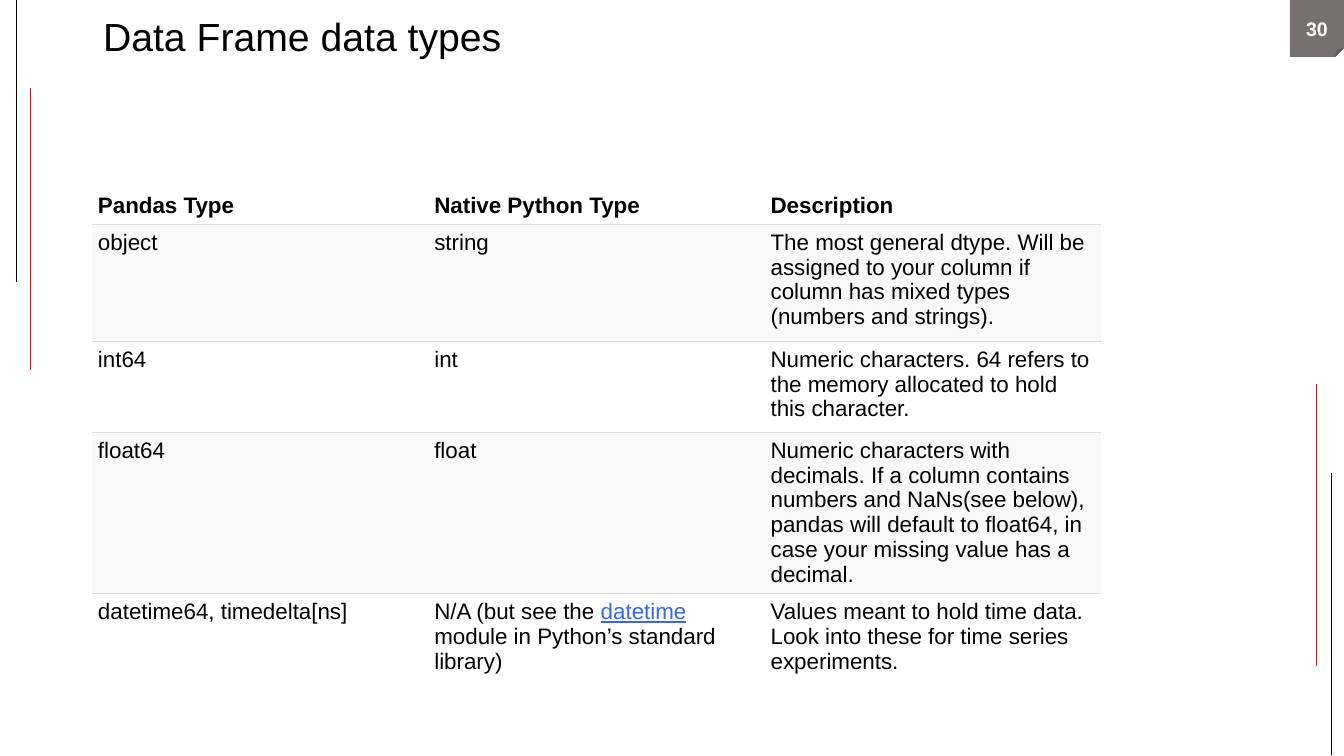
from lxml import etree
from pptx import Presentation
from pptx import util as u
from pptx.dml.color import RGBColor
from pptx.enum import shapes, text
from pptx.oxml import ns

BLACK = RGBColor(0x00, 0x00, 0x00)
WHITE = RGBColor(0xFF, 0xFF, 0xFF)
RED = RGBColor(0xFF, 0x00, 0x00)
GREY = RGBColor(0x76, 0x71, 0x71)
STRIPE = RGBColor(0xF9, 0xF9, 0xF9)
RULE = RGBColor(0xDD, 0xDD, 0xDD)
LINK = RGBColor(0x33, 0x66, 0xFF)

EMU_PER_PX = 914400 / 100.8
TITLE_ONLY = 5
NO_TABLE_STYLE = "{2D5ABB26-0587-4C30-8999-92F81FD0307C}"
CORNER = (1290, 0, 54, 57)

HEADINGS = ["Pandas Type", "Native Python Type", "Description"]
DATA_TYPES = [
    ["object", "string",
     "The most general dtype. Will be assigned to your column if column has "
     "mixed types (numbers and strings)."],
    ["int64", "int",
     "Numeric characters. 64 refers to the memory allocated to hold this character."],
    ["float64", "float",
     "Numeric characters with decimals. If a column contains numbers and "
     "NaNs(see below), pandas will default to float64, in case your missing "
     "value has a decimal."],
    ["datetime64, timedelta[ns]",
     ["N/A (but see the ", ("datetime", {"color": LINK, "underline": True}),
      " module in Python’s standard library)"],
     "Values meant to hold time data. Look into these for time series experiments."],
]
ROW_HEIGHTS = [38, 117, 91, 143, 91]


def px(length):
    return u.Emu(round(length * EMU_PER_PX))


def add_span(para, words, size=16, color=BLACK, bold=False, underline=False, face="Arial"):
    span = para.add_run()
    span.text = words
    font = span.font
    font.name, font.size, font.bold = face, u.Pt(size), bold
    font.underline = underline
    font.color.rgb = color


def add_cell_border(cell, tag, position):
    """Draw one thin rule; borders must come before the fill in the cell."""
    border = etree.Element(ns.qn(tag), w=str(u.Pt(0.6)))
    fill = etree.SubElement(border, ns.qn("a:solidFill"))
    etree.SubElement(fill, ns.qn("a:srgbClr"), val=str(RULE))
    cell._tc.get_or_add_tcPr().insert(position, border)


class SlideBuilder:
    """Holds the deck, the current page and its shared style."""

    def __init__(self, width, height):
        self.deck = Presentation()
        self.deck.slide_width, self.deck.slide_height = px(width), px(height)
        self.page = self.deck.slides.add_slide(self.deck.slide_layouts[TITLE_ONLY])

    def title(self, words, left, top, width, height):
        box = self.page.shapes.title
        box.left, box.top, box.width, box.height = map(px, (left, top, width, height))
        frame = box.text_frame
        frame.vertical_anchor = text.MSO_ANCHOR.TOP
        frame.auto_size = text.MSO_AUTO_SIZE.NONE
        para = frame.paragraphs[0]
        para.alignment = text.PP_ALIGN.LEFT
        para.line_spacing = 0.9
        add_span(para, words, size=28)

    def folded_corner(self, *place):
        corner = self.page.shapes.add_shape(
            shapes.MSO_SHAPE.FOLDED_CORNER, *map(px, place))
        guides = corner._element.spPr.find(ns.qn("a:prstGeom")).get_or_add_avLst()
        etree.SubElement(guides, ns.qn("a:gd"), name="adj", fmla="val 16500")
        corner.shadow.inherit = False
        corner.fill.solid()
        corner.fill.fore_color.rgb = GREY
        corner.line.fill.background()

    def page_number(self, words, *place):
        frame = self.page.shapes.add_textbox(*map(px, place)).text_frame
        frame.word_wrap = True
        frame.vertical_anchor = text.MSO_ANCHOR.MIDDLE
        para = frame.paragraphs[0]
        para.alignment = text.PP_ALIGN.CENTER
        add_span(para, words, size=14, color=WHITE, bold=True)

    def vertical_line(self, x, start, end, color):
        line = self.page.shapes.add_connector(
            shapes.MSO_CONNECTOR.STRAIGHT, px(x), px(start), px(x), px(end))
        line.line.color.rgb = color
        line.line.width = u.Pt(0.5)
        etree.SubElement(line._element.spPr, ns.qn("a:effectLst"))

    def table(self, rows, heights, left, top, width, height):
        holder = self.page.shapes.add_table(
            len(rows), len(rows[0]), px(left), px(top), px(width), px(height))
        table = holder.table
        table.first_row = table.horz_banding = False
        table._tbl.tblPr.find(ns.qn("a:tableStyleId")).text = NO_TABLE_STYLE
        for index, (row, row_height) in enumerate(zip(rows, heights)):
            table.rows[index].height = px(row_height)
            for column, content in enumerate(row):
                self.cell(table.cell(index, column), content, index, len(rows))
        holder.height = px(height)

    def cell(self, cell, content, row, row_count):
        header = row == 0
        cell.margin_left = cell.margin_right = px(6)
        cell.margin_top = cell.margin_bottom = px(6)
        cell.vertical_anchor = text.MSO_ANCHOR.BOTTOM if header else text.MSO_ANCHOR.TOP
        cell.fill.solid()
        cell.fill.fore_color.rgb = STRIPE if row % 2 else WHITE
        if row < row_count - 1:
            add_cell_border(cell, "a:lnB", 0)
        if not header:
            add_cell_border(cell, "a:lnT", 0)
        para = cell.text_frame.paragraphs[0]
        for part in [content] if isinstance(content, str) else content:
            words, style = (part, {}) if isinstance(part, str) else part
            add_span(para, words, bold=header, **style)


def main():
    slide = SlideBuilder(1344, 756)
    slide.folded_corner(*CORNER)
    for x, start, end, color in [(16, 0, 282, BLACK), (30, 88, 370, RED),
                                 (1331, 755, 473, BLACK), (1316, 666, 384, RED)]:
        slide.vertical_line(x, start, end, color)
    slide.title("Data Frame data types", 93, 13, 1163, 99)
    slide.table([HEADINGS] + DATA_TYPES, ROW_HEIGHTS, 92, 186, 1009, 515)
    slide.page_number("30", *CORNER)
    slide.deck.save("out.pptx")


if __name__ == "__main__":
    main()
